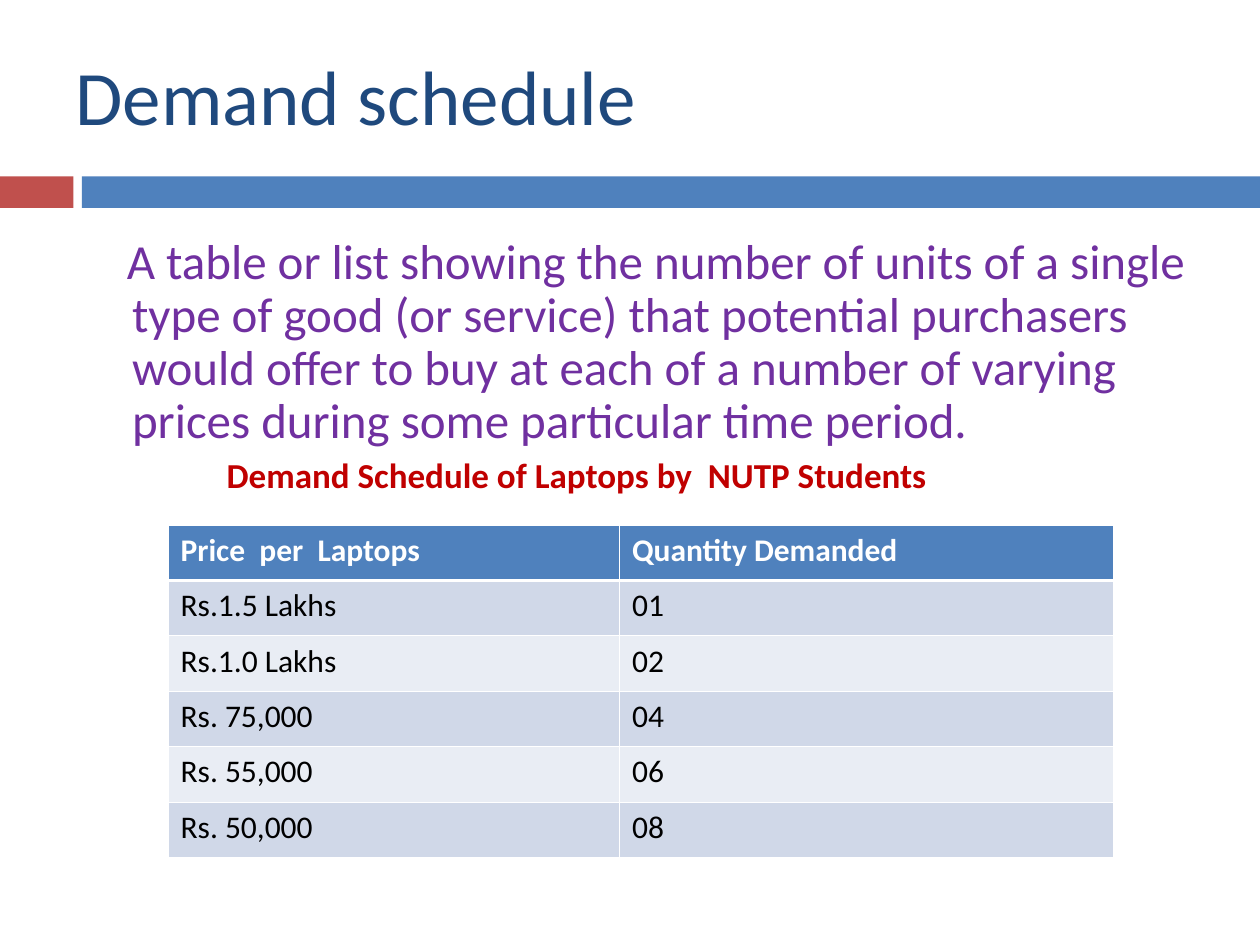
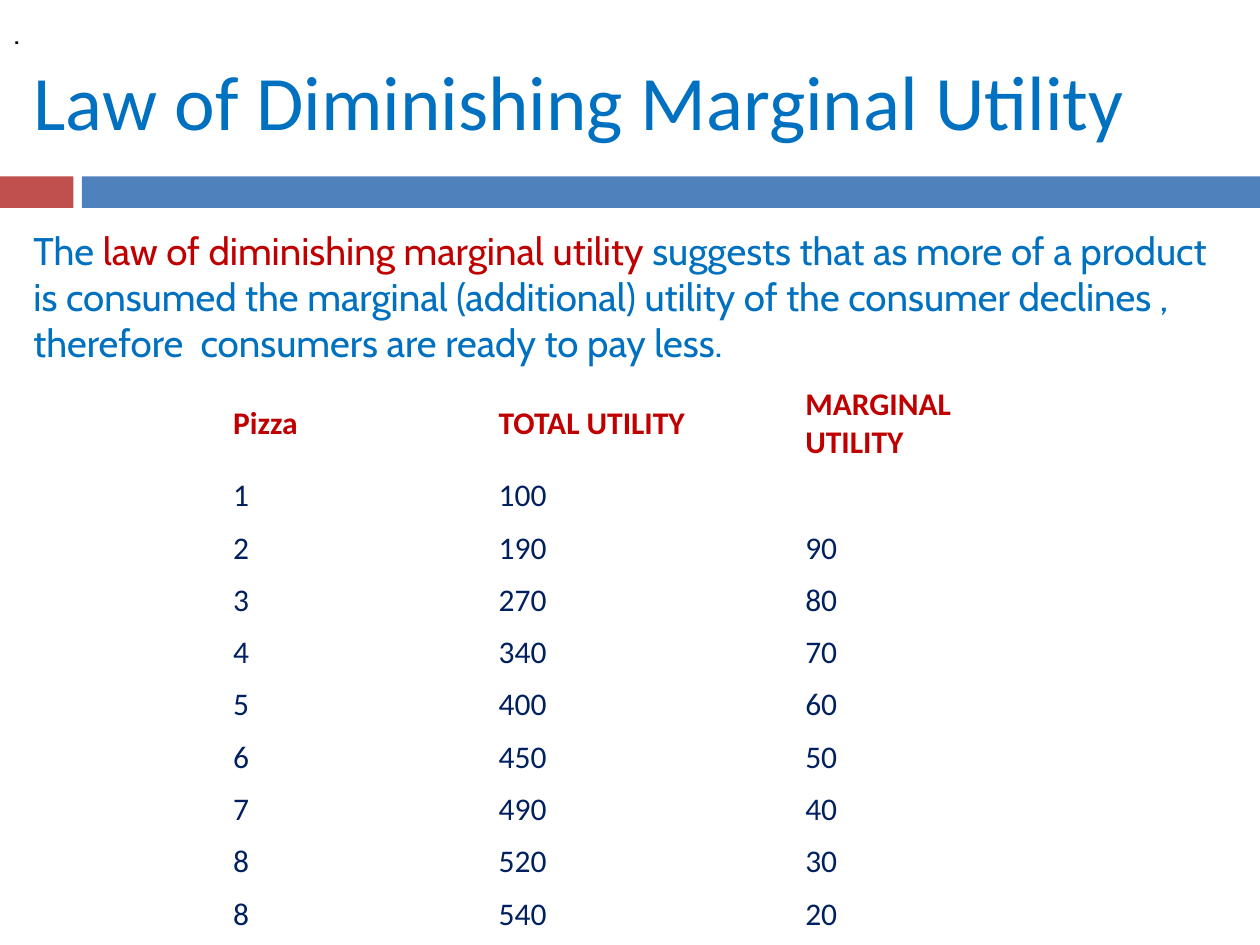
from lxml.etree import SubElement
from pptx import Presentation
from pptx.dml.color import RGBColor
from pptx.enum.shapes import MSO_SHAPE
from pptx.enum.text import MSO_ANCHOR, MSO_AUTO_SIZE, PP_ALIGN
from pptx.oxml.ns import qn
from pptx.util import Inches, Pt

# Shared look
COLS, ROWS = 120, 90
WIDE, HIGH = Inches(10), Inches(7.5)
SANS, BODY = "Calibri", "Cabin"
NAVY, BLUE, SKY = "1F497D", "4F81BD", "0070C0"
BRICK, RED, PLUM, INK = "C0504D", "C00000", "7030A0", "002060"
WHITE, BLACK = "FFFFFF", "000000"
STRIPES = ("D0D8E8", "E9EDF4")
NO_STYLE = "{2D5ABB26-0587-4C30-8999-92F81FD0307C}"


def hue(code):
    return RGBColor.from_string(code)


def col(n):
    return round(WIDE * n / COLS)


def row(n):
    return round(HIGH * n / ROWS)


def area(x, y, w, h):
    return col(x), row(y), col(w), row(h)


def style(run, size, color, font=SANS, bold=False):
    run.font.size, run.font.name, run.font.bold = Pt(size), font, bold
    run.font.color.rgb = hue(color)


def write(para, text, *look, **more):
    run = para.add_run()
    run.text = text
    style(run, *look, **more)


def band(slide, x, w, color):
    bar = slide.shapes.add_shape(MSO_SHAPE.RECTANGLE, *area(x, 16.8, w, 3))
    bar.shadow.inherit = False
    bar.fill.solid()
    bar.fill.fore_color.rgb = hue(color)
    bar.line.fill.background()


def start(deck, text, color, box):
    """Add a slide with its title and the two bands."""
    slide = deck.slides.add_slide(deck.slide_layouts[5])
    band(slide, 0, 7, BRICK)
    band(slide, 7.8, 112.2, BLUE)
    title = slide.shapes.title
    title.left, title.top, title.width, title.height = area(*box)
    frame = title.text_frame
    frame.text = text
    frame.auto_size = MSO_AUTO_SIZE.NONE
    frame.vertical_anchor = MSO_ANCHOR.MIDDLE
    para = frame.paragraphs[0]
    para.alignment = PP_ALIGN.LEFT
    style(para.runs[0], 44, color)
    return slide


def textbox(slide, box, wrap=True):
    frame = slide.shapes.add_textbox(*area(*box)).text_frame
    frame.word_wrap = wrap
    return frame


def indent(para, left, first):
    props = para._p.get_or_add_pPr()
    props.set("marL", str(col(left)))
    props.set("indent", str(col(first)))
    para.line_spacing = 0.9
    para.space_before = Pt(5.5)


def edge(cell, side, width):
    line = SubElement(cell._tc.get_or_add_tcPr(), qn("a:" + side), w=str(Pt(width)))
    fill = SubElement(line, qn("a:solidFill"))
    SubElement(fill, qn("a:srgbClr"), val=WHITE)


def grid(slide, spot, widths, heights, data, head, ink, fills=None, anchor=MSO_ANCHOR.TOP):
    """Add a table; fills holds the header colour and the stripes."""
    box = area(*spot, sum(widths), sum(heights))
    table = slide.shapes.add_table(len(data), len(widths), *box).table
    table.horz_banding = False
    table._tbl.tblPr.find(qn("a:tableStyleId")).text = NO_STYLE
    for column, width in zip(table.columns, widths):
        column.width = col(width)
    for r, (line, height) in enumerate(zip(data, heights)):
        table.rows[r].height = row(height)
        for c, text in enumerate(line):
            cell = table.cell(r, c)
            cell.vertical_anchor = anchor
            if text:
                para = cell.text_frame.paragraphs[0]
                write(para, text, 18, ink if r else head, bold=r == 0)
            if not fills:
                cell.fill.background()
                continue
            # Borders come before the fill in the cell's properties
            thick = {(0, "lnB"), (1, "lnT")}
            for side in ("lnL", "lnR", "lnT", "lnB"):
                edge(cell, side, 1.47 if (r, side) in thick else 0.45)
            cell.fill.solid()
            shade = fills[1 + (r - 1) % 2] if r else fills[0]
            cell.fill.fore_color.rgb = hue(shade)


def demand(deck):
    slide = start(deck, "Demand schedule", NAVY, (6, 0, 108, 18))
    # Definition and table caption
    frame = textbox(slide, (3, 22, 113, 66))
    para = frame.paragraphs[0]
    indent(para, 8.4, -0.5)
    write(para, "A table or list showing the number of units of a single type of "
          "good (or service) that potential purchasers would offer to buy at each "
          "of a number of varying prices during some particular time period.", 28, PLUM)
    para = frame.add_paragraph()
    indent(para, 17.4, 0)
    write(para, "Demand Schedule of Laptops by  NUTP Students", 20, RED, bold=True)
    # Prices and quantities
    data = [("Price  per  Laptops", "Quantity Demanded"),
            ("Rs.1.5 Lakhs", "01"), ("Rs.1.0 Lakhs", "02"), ("Rs. 75,000", "04"),
            ("Rs. 55,000", "06"), ("Rs. 50,000", "08")]
    grid(slide, (16, 50), (43, 47), [5.28] * len(data), data, WHITE, BLACK,
         (BLUE, *STRIPES))


def utility(deck):
    slide = start(deck, "Law of Diminishing Marginal Utility", SKY, (2, 3, 113, 13))
    # Statement of the law
    para = textbox(slide, (2, 21, 116, 14.4)).paragraphs[0]
    for text, color in (
            ("The ", SKY), ("law of diminishing marginal utility ", RED),
            ("suggests that as more of a product is consumed the marginal "
             "(additional) utility of the consumer declines , therefore  "
             "consumers are ready to pay less.", SKY)):
        write(para, text, 22, color, BODY)
    # Total and marginal utility
    data = [("Pizza", "TOTAL UTILITY", "MARGINAL UTILITY"),
            ("1", "100", ""), ("2", "190", "90"), ("3", "270", "80"),
            ("4", "340", "70"), ("5", "400", "60"), ("6", "450", "50"),
            ("7", "490", "40"), ("8", "520", "30"), ("8", "540", "20")]
    heights = [8.75] + [4.98] * (len(data) - 1)
    grid(slide, (21, 36), (25.3, 29.2, 25.5), heights, data, RED, INK,
         anchor=MSO_ANCHOR.MIDDLE)
    # Corner dot
    frame = textbox(slide, (0.12, 0.6, 4, 4.8), wrap=False)
    frame.vertical_anchor = MSO_ANCHOR.MIDDLE
    write(frame.paragraphs[0], ".", 18, BLACK, BODY)


def main():
    deck = Presentation()
    deck.slide_width, deck.slide_height = WIDE, HIGH
    demand(deck)
    utility(deck)
    deck.save("out.pptx")


if __name__ == "__main__":
    main()
